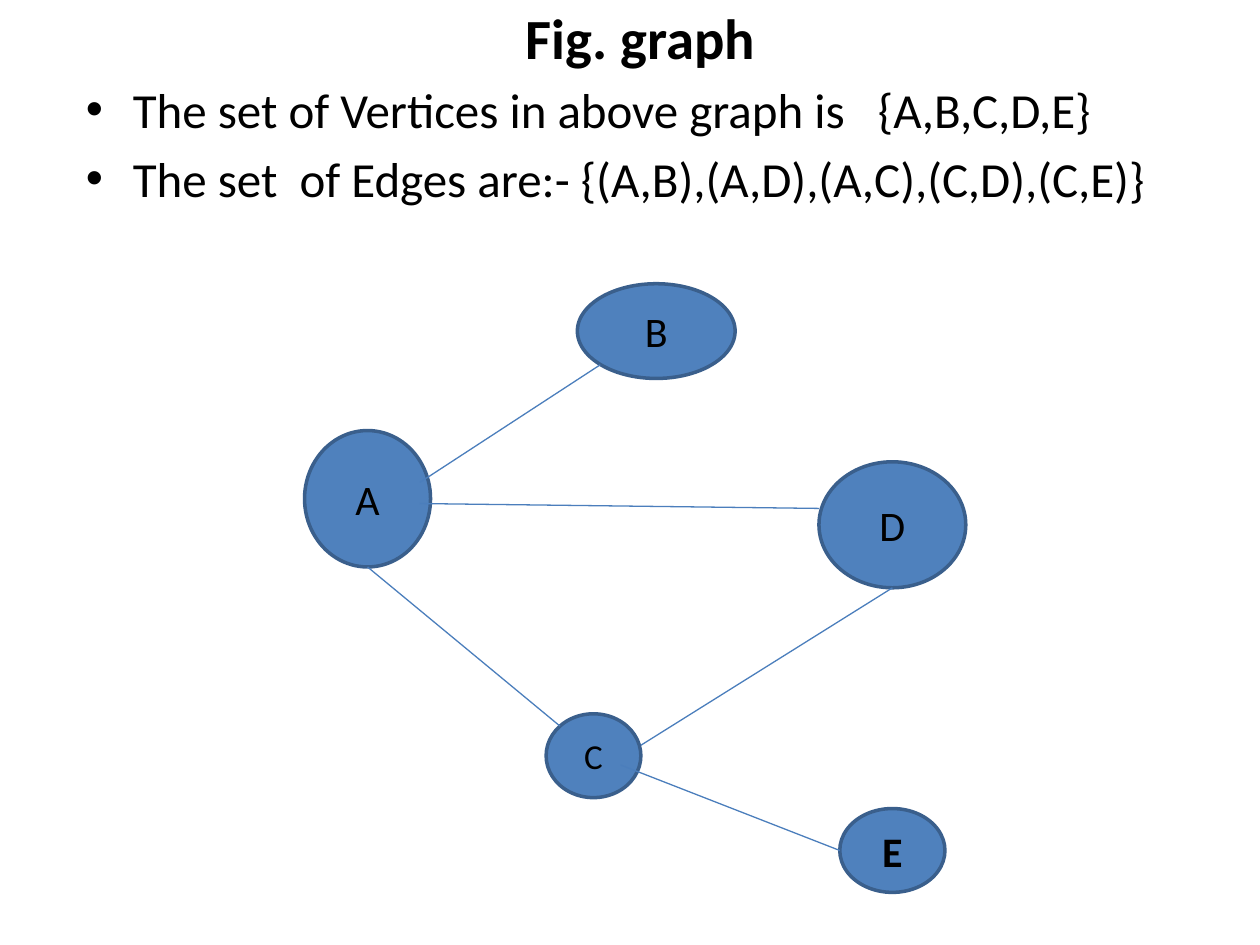
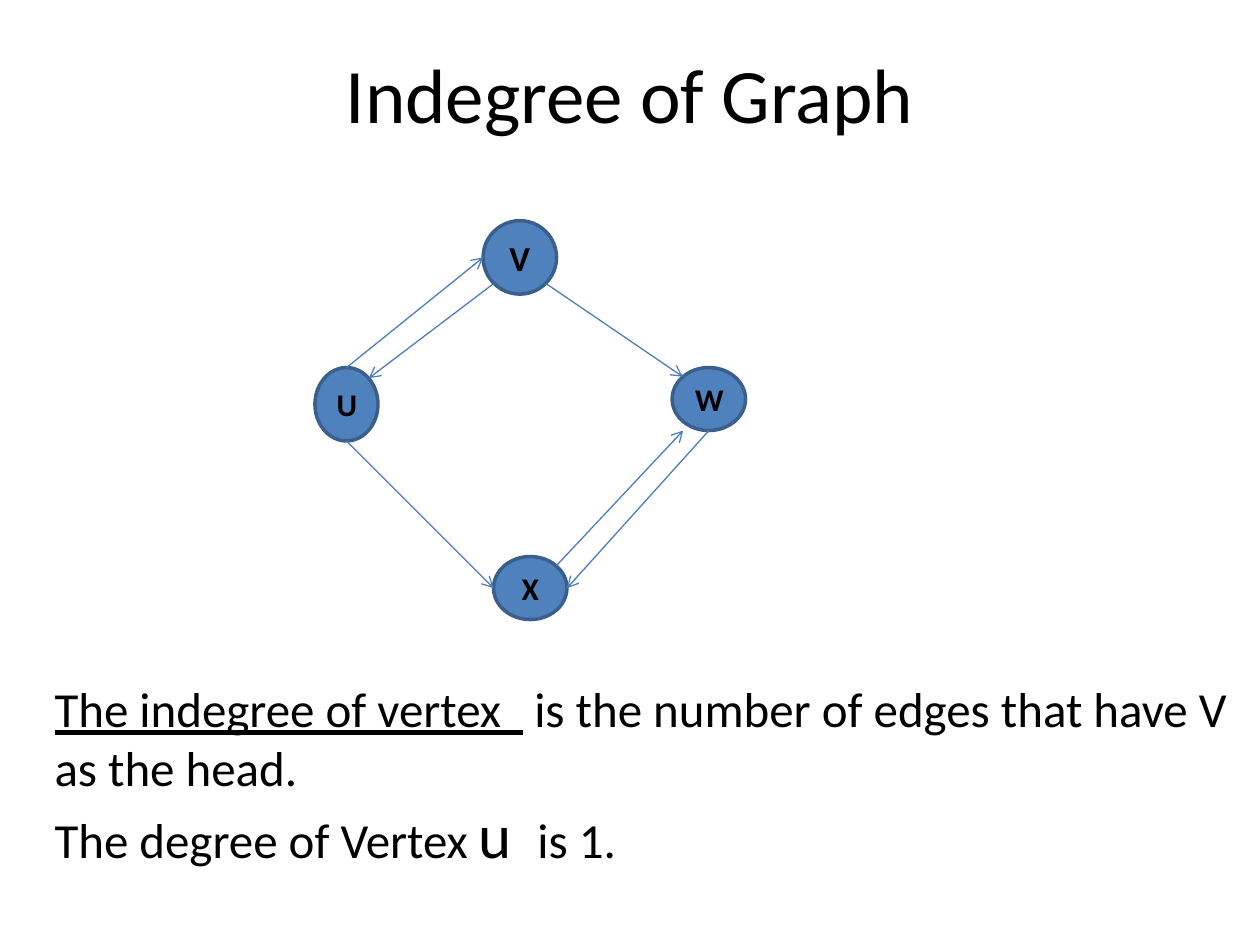
"""Builds two slides on graphs: vertices with edges, and indegree."""

from dataclasses import dataclass
from typing import Any, NamedTuple

from lxml.etree import SubElement
from pptx import Presentation
from pptx.dml.color import RGBColor
from pptx.enum.shapes import MSO_CONNECTOR, MSO_SHAPE
from pptx.enum.text import MSO_ANCHOR, MSO_AUTO_SIZE, PP_ALIGN
from pptx.oxml.ns import qn
from pptx.util import Cm, Pt

BLACK = RGBColor(0x00, 0x00, 0x00)
NODE_FILL = RGBColor(0x4F, 0x81, 0xBD)
NODE_LINE = RGBColor(0x3A, 0x5F, 0x8C)
EDGE_LINE = RGBColor(0x4B, 0x7E, 0xBC)
FONT = "Calibri"
BODY_SIZE = 28
BULLET_INDENT = Cm(0.95)
CENTRED_FRAME = {"word_wrap": True, "vertical_anchor": MSO_ANCHOR.MIDDLE}

DIAGONAL = 0.71
NORTH, SOUTH, WEST, EAST = (0, -1), (0, 1), (-1, 0), (1, 0)
NORTH_WEST, NORTH_EAST = (-DIAGONAL, -DIAGONAL), (DIAGONAL, -DIAGONAL)
SOUTH_WEST, SOUTH_EAST = (-DIAGONAL, DIAGONAL), (DIAGONAL, DIAGONAL)


class Area(NamedTuple):
    """A rectangle in centimetres."""

    left: float
    top: float
    width: float
    height: float

    def lengths(self) -> list[Cm]:
        """Return the four sides as lengths."""
        return [Cm(value) for value in self]


class Span(NamedTuple):
    """A stretch of text in one format."""

    text: str
    size: float = BODY_SIZE
    bold: bool = False
    underline: bool = False


@dataclass(frozen=True)
class Node:
    """A labelled ellipse."""

    area: Area
    size: float
    bold: bool = False

    def point(self, direction: tuple[float, float]) -> tuple[Cm, Cm]:
        """Return the point at a direction given in radii from the centre."""
        left, top, width, height = self.area
        return (
            Cm(left + width * (1 + direction[0]) / 2),
            Cm(top + height * (1 + direction[1]) / 2),
        )


class Edge(NamedTuple):
    """A line between two nodes, with the direction of each end."""

    start: str
    start_side: tuple[float, float]
    end: str
    end_side: tuple[float, float]


VERTEX_NODES = {
    "B": Node(Area(11.64, 5.72, 3.18, 1.91), 24),
    "A": Node(Area(6.14, 8.68, 2.54, 2.75), 24),
    "D": Node(Area(16.51, 9.31, 2.96, 2.54), 24),
    "C": Node(Area(11.01, 14.39, 1.91, 1.69), 20),
    "E": Node(Area(16.93, 16.3, 2.12, 1.69), 24, True),
}
VERTEX_EDGES = [
    Edge("A", (0.83, -0.24), "B", SOUTH_WEST),
    Edge("A", SOUTH, "C", NORTH_WEST),
    Edge("A", (0.83, 0.07), "D", (-1, -0.26)),
    Edge("C", (1, -0.25), "D", SOUTH),
    Edge("C", (0.57, 0.22), "E", WEST),
]
INDEGREE_NODES = {
    "U": Node(Area(6.35, 7.41, 1.27, 1.48), 18, True),
    "V": Node(Area(9.74, 4.45, 1.48, 1.48), 20, True),
    "W": Node(Area(13.55, 7.41, 1.48, 1.27), 18, True),
    "X": Node(Area(9.95, 11.22, 1.48, 1.27), 18, True),
}
INDEGREE_EDGES = [
    Edge("U", NORTH, "V", WEST),
    Edge("V", SOUTH_WEST, "U", NORTH_EAST),
    Edge("V", SOUTH_EAST, "W", NORTH_WEST),
    Edge("X", NORTH_EAST, "W", (-0.7, 1)),
    Edge("W", SOUTH, "X", EAST),
    Edge("U", SOUTH, "X", WEST),
]
SET_LINES = [
    [Span("The set of Vertices in above graph is   {A,B,C,D,E}")],
    [Span("The set  of Edges are:- {(A,B),(A,D),(A,C),(C,D),(C,E)}")],
]
INDEGREE_LINES = [
    [
        Span("The indegree of vertex  ", underline=True),
        Span(" is the number of edges that have V as the head."),
    ],
    [Span("The degree of Vertex "), Span("u ", 36), Span(" is 1.")],
]


def apply(target: Any, values: dict[str, Any]) -> None:
    """Set each named attribute of the target."""
    for name, value in values.items():
        setattr(target, name, value)


def add_spans(para: Any, spans: list[Span]) -> None:
    """Fill a paragraph with formatted spans."""
    for span in spans:
        run = para.add_run()
        run.text = span.text
        apply(run.font, {
            "name": FONT,
            "size": Pt(span.size),
            "bold": span.bold,
            "underline": span.underline,
        })
        run.font.color.rgb = BLACK


def add_bullet(para: Any) -> None:
    """Give a paragraph a round bullet and a hanging indent."""
    properties = para._p.get_or_add_pPr()
    properties.set("marL", str(BULLET_INDENT))
    properties.set("indent", str(-BULLET_INDENT))
    SubElement(properties, qn("a:buFont")).set("typeface", "Arial")
    SubElement(properties, qn("a:buChar")).set("char", "•")


def add_title(page: Any, area: Area, span: Span) -> None:
    """Draw a centred title."""
    frame = page.shapes.add_textbox(*area.lengths()).text_frame
    apply(frame, CENTRED_FRAME)
    frame.paragraphs[0].alignment = PP_ALIGN.CENTER
    add_spans(frame.paragraphs[0], [span])


def add_body(page: Any, area: Area, lines: list[list[Span]],
             bulleted: bool = False) -> None:
    """Draw a box of paragraphs, with or without bullets."""
    frame = page.shapes.add_textbox(*area.lengths()).text_frame
    fit = MSO_AUTO_SIZE.NONE if bulleted else MSO_AUTO_SIZE.SHAPE_TO_FIT_TEXT
    apply(frame, {"word_wrap": True, "auto_size": fit})
    for index, spans in enumerate(lines):
        para = frame.add_paragraph() if index else frame.paragraphs[0]
        if bulleted:
            add_bullet(para)
            para.space_before = Pt(BODY_SIZE * 0.2 if index else 0)
        add_spans(para, spans)


def add_node(page: Any, label: str, node: Node) -> None:
    """Draw one labelled ellipse."""
    ellipse = page.shapes.add_shape(MSO_SHAPE.OVAL, *node.area.lengths())
    ellipse.shadow.inherit = False
    ellipse.fill.solid()
    ellipse.fill.fore_color.rgb = NODE_FILL
    ellipse.line.color.rgb = NODE_LINE
    ellipse.line.width = Pt(2)
    apply(ellipse.text_frame, CENTRED_FRAME)
    para = ellipse.text_frame.paragraphs[0]
    para.alignment = PP_ALIGN.CENTER
    add_spans(para, [Span(label, node.size, node.bold)])


def add_edge(page: Any, nodes: dict[str, Node], edge: Edge,
             directed: bool) -> None:
    """Draw one edge, with an arrowhead when directed."""
    connector = page.shapes.add_connector(
        MSO_CONNECTOR.STRAIGHT,
        *nodes[edge.start].point(edge.start_side),
        *nodes[edge.end].point(edge.end_side),
    )
    connector.line.color.rgb = EDGE_LINE
    connector.line.width = Pt(0.75)
    if directed:
        outline = connector.line._get_or_add_ln()
        SubElement(outline, qn("a:tailEnd")).set("type", "arrow")
    SubElement(connector._element.spPr, qn("a:effectLst"))


def add_graph(page: Any, nodes: dict[str, Node], edges: list[Edge],
              directed: bool = False) -> None:
    """Draw all nodes, then the edges that join them."""
    for label, node in nodes.items():
        add_node(page, label, node)
    for edge in edges:
        add_edge(page, nodes, edge, directed)


def main() -> None:
    """Build and save the deck."""
    deck = Presentation()
    apply(deck, {"slide_width": Cm(25.4), "slide_height": Cm(19.05)})
    blank = deck.slide_layouts[6]

    page = deck.slides.add_slide(blank)
    add_title(page, Area(1.48, 0, 22.86, 1.48), Span("Fig. graph", 32.4, True))
    add_body(page, Area(1.48, 1.48, 22.86, 16.71), SET_LINES, bulleted=True)
    add_graph(page, VERTEX_NODES, VERTEX_EDGES)

    page = deck.slides.add_slide(blank)
    add_title(page, Area(1.27, 0.76, 22.86, 2.2), Span("Indegree of Graph", 44))
    add_graph(page, INDEGREE_NODES, INDEGREE_EDGES, directed=True)
    add_body(page, Area(0.85, 13.55, 24.55, 4.19), INDEGREE_LINES)

    deck.save("out.pptx")


if __name__ == "__main__":
    main()
